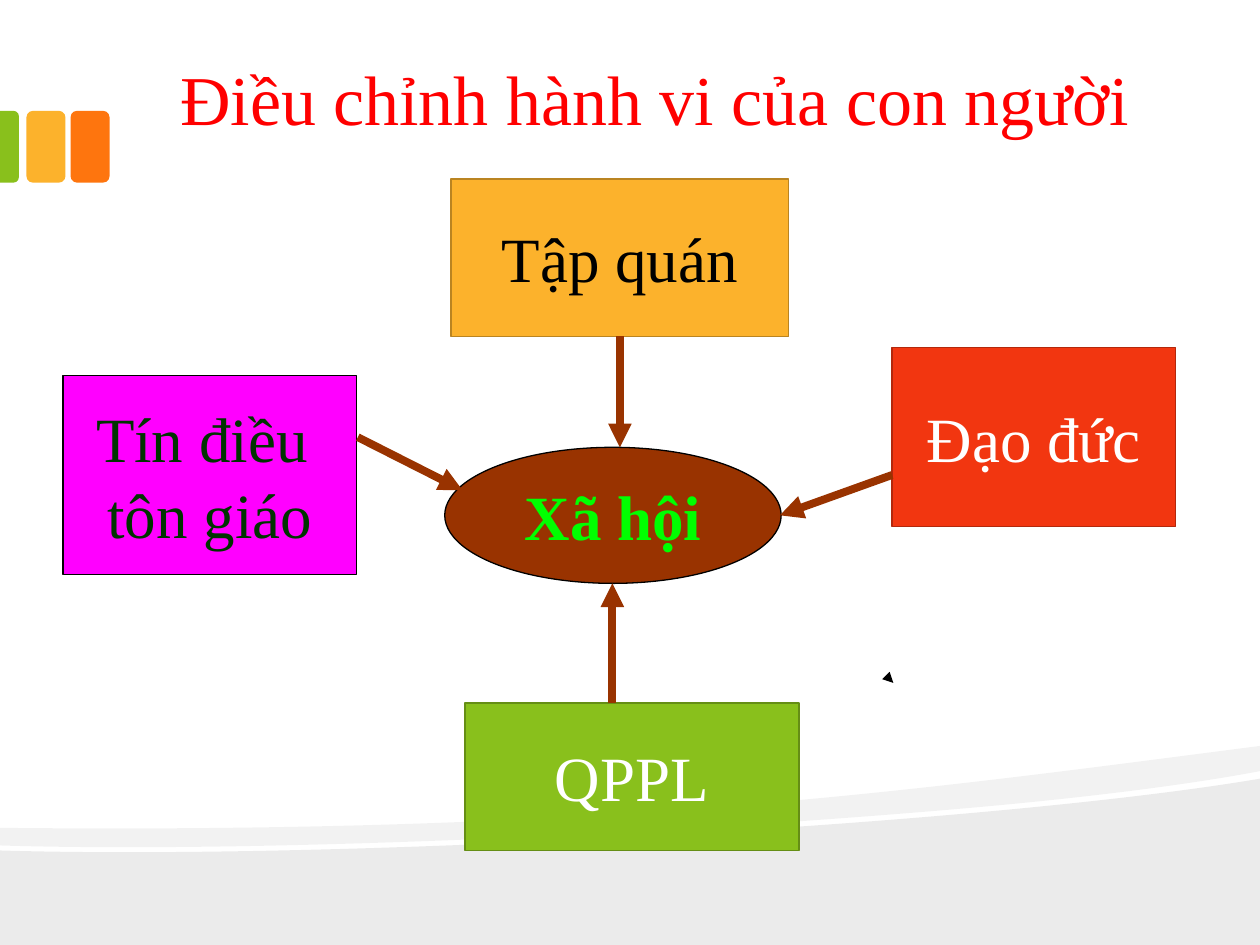
import pptx
import pptx.util
import pptx.dml.color
import pptx.enum.shapes
import pptx.enum.text
import pptx.oxml.ns
import lxml.etree

Inches = pptx.util.Inches
Pt = pptx.util.Pt
RGBColor = pptx.dml.color.RGBColor
Shapes = pptx.enum.shapes.MSO_SHAPE
Anchor = pptx.enum.text.MSO_ANCHOR
Align = pptx.enum.text.PP_ALIGN
qn = pptx.oxml.ns.qn

BLACK = RGBColor(0x00, 0x00, 0x00)
WHITE = RGBColor(0xFF, 0xFF, 0xFF)
RED = RGBColor(0xFF, 0x00, 0x00)
BROWN = RGBColor(0x99, 0x33, 0x00)
LIME = RGBColor(0x00, 0xFF, 0x00)
MAGENTA = RGBColor(0xFF, 0x00, 0xFF)
DARK_GREEN = RGBColor(0x00, 0x33, 0x00)
AMBER = RGBColor(0xFC, 0xB2, 0x2C)
AMBER_EDGE = RGBColor(0xBA, 0x84, 0x21)
ORANGE = RGBColor(0xFE, 0x75, 0x0E)
VERMILION = RGBColor(0xF2, 0x36, 0x10)
VERMILION_EDGE = RGBColor(0xB3, 0x28, 0x0C)
GREEN = RGBColor(0x89, 0xC0, 0x1C)
GREEN_EDGE = RGBColor(0x65, 0x8E, 0x15)


class SlideBuilder:
    font_name = "Times New Roman"
    text_size = Pt(36)
    title_size = Pt(40)

    def __init__(self, slide):
        self.slide = slide

    def style_text(self, paragraph, size, color, bold=False):
        paragraph.font.name = self.font_name
        paragraph.font.size = size
        paragraph.font.color.rgb = color
        paragraph.font.bold = bold

    def title(self, text, left, top, width, height):
        title = self.slide.shapes.title
        title.left, title.top = Inches(left), Inches(top)
        title.width, title.height = Inches(width), Inches(height)
        frame = title.text_frame
        frame.text = text
        frame.word_wrap = True
        frame.vertical_anchor = Anchor.BOTTOM
        frame.margin_left, frame.margin_right = Inches(0.26), Inches(0.13)
        frame.margin_top = frame.margin_bottom = Inches(0.07)
        paragraph = frame.paragraphs[0]
        paragraph.alignment = Align.LEFT
        paragraph.line_spacing = 0.7
        self.style_text(paragraph, self.title_size, RED)

    def shape(self, kind, left, top, width, height, fill, edge=None, weight=0.75):
        shape = self.slide.shapes.add_shape(
            kind, Inches(left), Inches(top), Inches(width), Inches(height))
        shape.shadow.inherit = False
        shape.fill.solid()
        shape.fill.fore_color.rgb = fill
        if edge is None:
            shape.line.fill.background()
        else:
            shape.line.color.rgb = edge
            shape.line.width = Pt(weight)
        return shape

    def label(self, shape, lines, color, bold=False, wrap=False):
        frame = shape.text_frame
        frame.text = "\n".join(lines)
        frame.word_wrap = wrap
        frame.vertical_anchor = Anchor.MIDDLE
        for paragraph in frame.paragraphs:
            paragraph.alignment = Align.CENTER
            self.style_text(paragraph, self.text_size, color, bold)

    def wave(self, start, segments, opacity):
        corners = [(Inches(x), Inches(y)) for segment in segments for x, y in segment]
        builder = self.slide.shapes.build_freeform(Inches(start[0]), Inches(start[1]))
        builder.add_line_segments(corners, close=True)
        shape = builder.convert_to_shape()
        shape.shadow.inherit = False
        shape.line.fill.background()
        shape.fill.solid()
        shape.fill.fore_color.rgb = BLACK
        color = shape._element.spPr.find(qn("a:solidFill"))[0]
        lxml.etree.SubElement(color, qn("a:alpha"), val=str(opacity * 1000))
        lines = iter(list(shape._element.iter(qn("a:lnTo"))))
        for segment in segments:
            parts = [next(lines) for point in segment]
            if len(parts) == 3:
                curve = lxml.etree.Element(qn("a:cubicBezTo"))
                parts[0].addprevious(curve)
                for part in parts:
                    curve.append(part[0])
                    part.getparent().remove(part)

    def arrow(self, start, end, color=BROWN, weight=4.5, source=None):
        connector = self.slide.shapes.add_connector(
            pptx.enum.shapes.MSO_CONNECTOR.STRAIGHT,
            *(Inches(value) for value in start + end))
        if source is not None:
            connector.begin_connect(source, 2)
        connector.line.color.rgb = color
        connector.line.width = Pt(weight)
        line = connector.line._get_or_add_ln()
        lxml.etree.SubElement(line, qn("a:tailEnd"), type="triangle")
        lxml.etree.SubElement(connector._element.spPr, qn("a:effectLst"))


def main():
    presentation = pptx.Presentation()
    presentation.slide_width, presentation.slide_height = Inches(10), Inches(7.5)
    builder = SlideBuilder(presentation.slides.add_slide(presentation.slide_layouts[5]))

    builder.wave((10, 6.18), [
        [(10, 7.5)], [(0, 7.5)], [(0, 6.75)],
        [(2.64, 6.83), (7.82, 6.55), (10, 6.18)]], 8)
    builder.wave((10, 5.92), [
        [(10, 6.12)],
        [(9.42, 6.23), (8.62, 6.33), (7.72, 6.41)],
        [(5.23, 6.63), (1.93, 6.77), (0, 6.71)],
        [(0, 6.57)],
        [(4.89, 6.62), (7.28, 6.27), (10, 5.92)]], 5)

    for left, color in ((0.56, ORANGE), (0.21, AMBER)):
        builder.shape(Shapes.ROUNDED_RECTANGLE, left, 0.88, 0.31, 0.57, color)
    tab = builder.shape(Shapes.ROUND_2_SAME_RECTANGLE, -0.21, 1.09, 0.57, 0.15, GREEN)
    tab.rotation = 90
    tab.adjustments[0] = 0.29

    builder.title("Điều chỉnh hành vi của con người", 1.17, 0.3, 8.58, 0.86)

    society = builder.shape(Shapes.OVAL, 3.53, 3.55, 2.67, 1.08, BROWN, BLACK)
    builder.label(society, ["Xã hội"], LIME, bold=True)
    custom = builder.shape(Shapes.RECTANGLE, 3.58, 1.42, 2.68, 1.25, AMBER, AMBER_EDGE, 0.85)
    builder.label(custom, ["Tập quán"], BLACK)
    religion = builder.shape(Shapes.RECTANGLE, 0.5, 2.98, 2.33, 1.58, MAGENTA, BLACK)
    builder.label(religion, ["Tín điều ", "tôn giáo"], DARK_GREEN)
    ethics = builder.shape(Shapes.RECTANGLE, 7.08, 2.76, 2.25, 1.42,
                           VERMILION, VERMILION_EDGE, 0.85)
    builder.label(ethics, ["Đạo đức"], WHITE)

    builder.arrow((4.92, 2.67), (4.92, 3.55), source=custom)
    builder.arrow((2.84, 3.47), (3.67, 3.89))
    builder.arrow((7.08, 5.41), (7.09, 5.42), BLACK, 0.75)
    builder.arrow((7.08, 3.77), (6.19, 4.09))

    law = builder.shape(Shapes.RECTANGLE, 3.69, 5.58, 2.65, 1.17, GREEN, GREEN_EDGE, 0.85)
    builder.label(law, ["QPPL"], WHITE, wrap=True)
    builder.arrow((4.86, 5.58), (4.86, 4.63))

    presentation.save("out.pptx")


if __name__ == "__main__":
    main()
